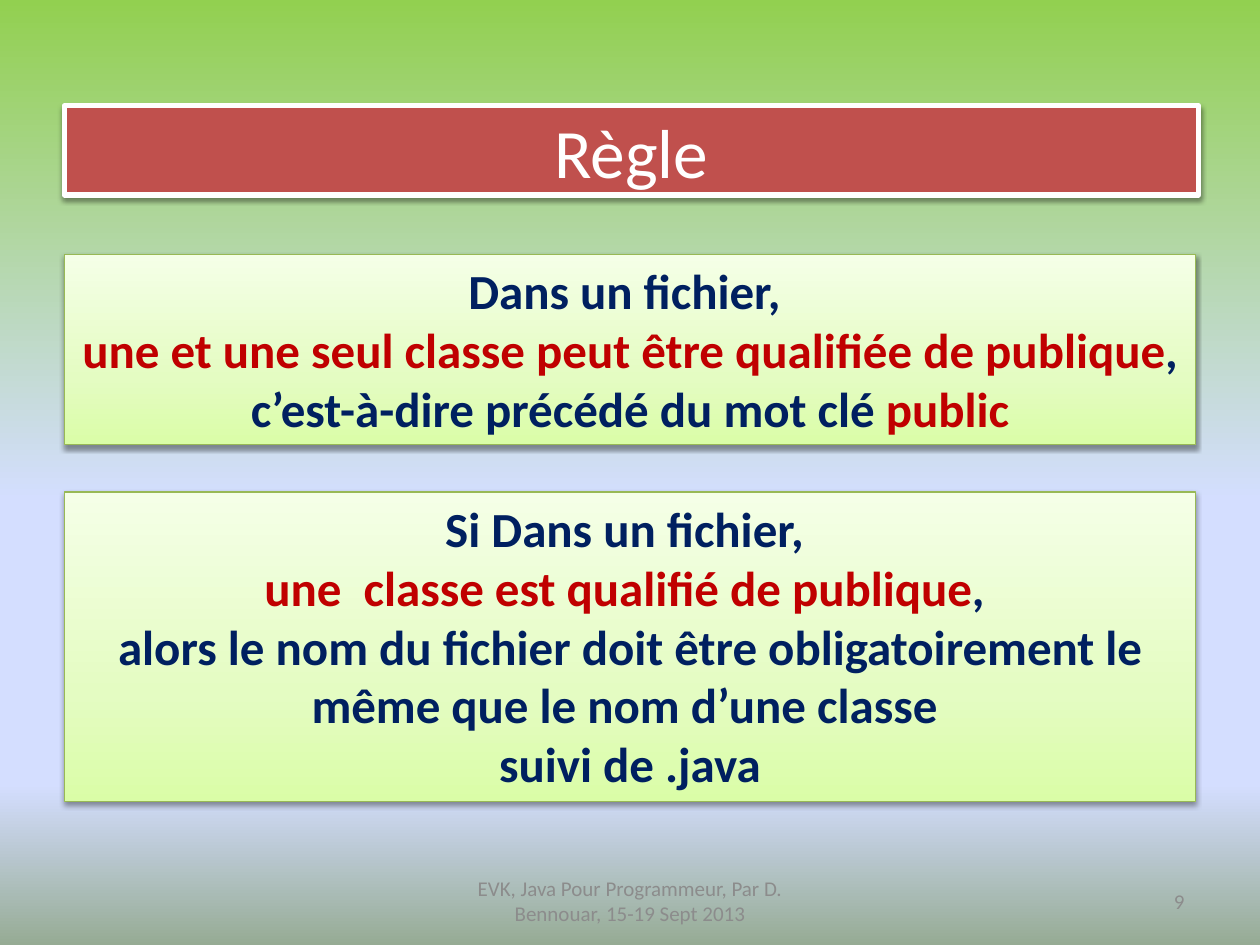
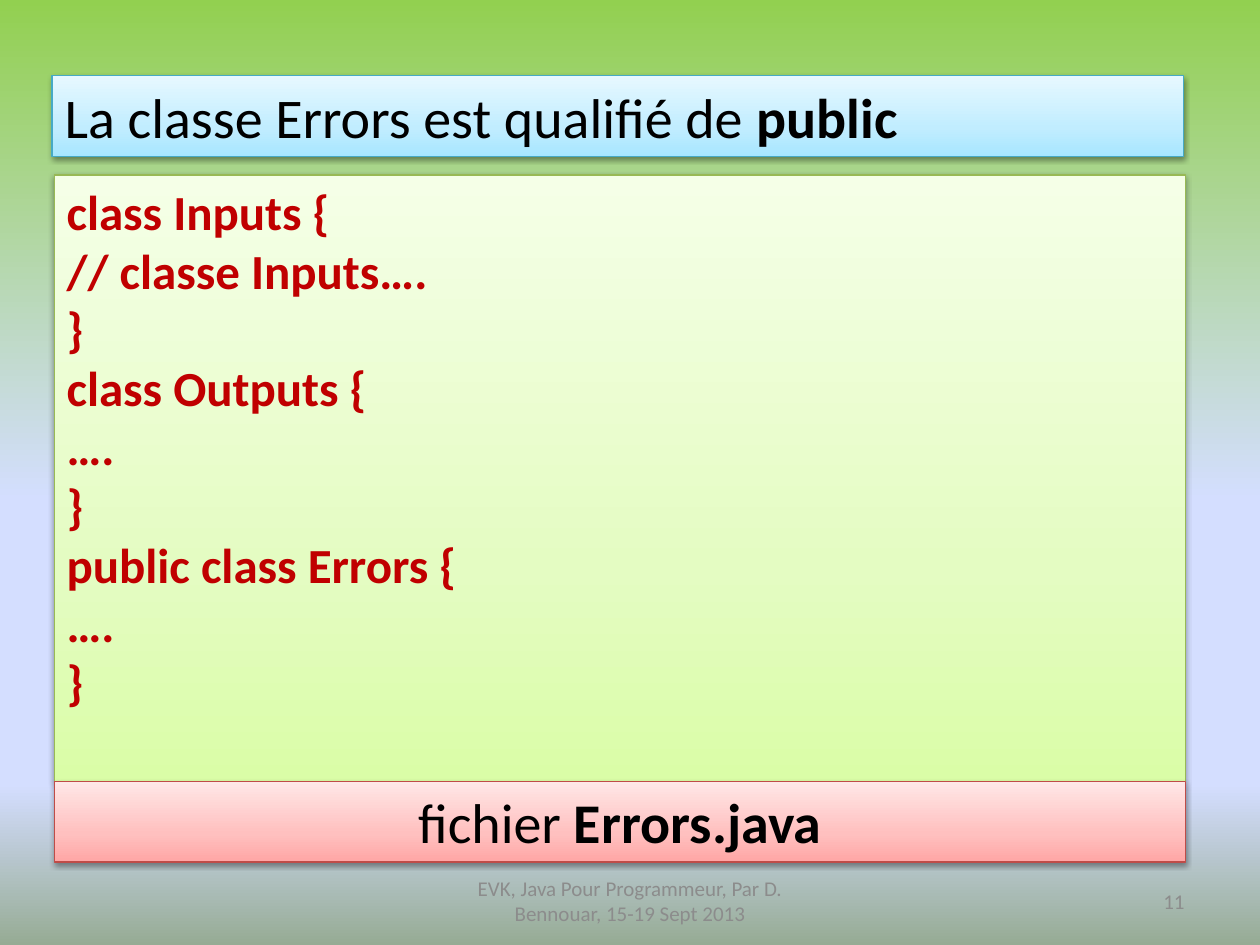
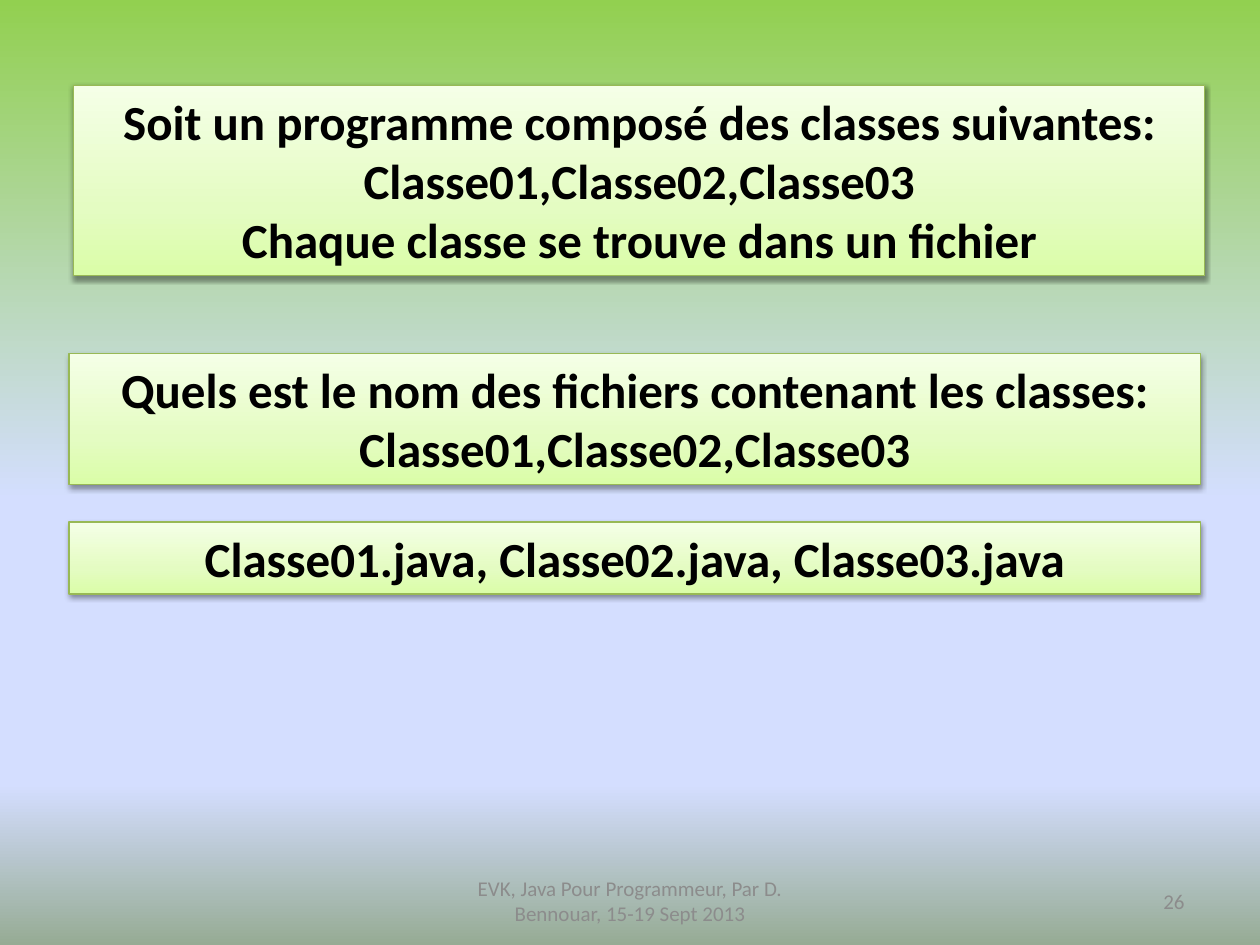
"""Build three slides on public classes and file names in Java."""
from dataclasses import dataclass

from lxml.etree import SubElement
from pptx import Presentation
from pptx.dml.color import RGBColor
from pptx.enum.text import MSO_ANCHOR, MSO_AUTO_SIZE, PP_ALIGN
from pptx.oxml.ns import qn
from pptx.util import Pt


@dataclass(frozen=True)
class Theme:
    """Colours, gradients and type sizes of the deck."""
    font: str = "Calibri"
    title_size: float = 39.6
    heading_size: float = 32
    body_size: float = 28
    footer_size: float = 12
    white: str = "FFFFFF"
    black: str = "000000"
    navy: str = "002060"
    red: str = "C00000"
    grey: str = "8C8C8C"
    brick: str = "C0504D"
    sky: tuple = ((0, "92D050"), (53, "D4DEFF"), (83, "D4DEFF"), (100, "96AB94"))
    green: tuple = ((0, "F5FFE7"), (65, "E4FCC2"), (100, "DAFDA7"))
    pink: tuple = ((0, "FFE7E7"), (65, "FFC0BF"), (100, "FFA6A5"))
    blue: tuple = ((0, "E7F8FF"), (65, "C1EDFF"), (100, "A7E6FF"))
    green_line: str = "98B955"
    pink_line: str = "BF4C48"
    blue_line: str = "46AAC5"


theme = Theme()


def paint(fill, element, stops):
    """Fill with a gradient that runs from top to bottom."""
    fill.gradient()
    fill.gradient_angle = 270
    stop_list = next(element.iter(qn("a:gsLst")))
    stop_list.clear()
    for percent, colour in stops:
        stop = SubElement(stop_list, qn("a:gs"), pos=str(percent * 1000))
        SubElement(stop, qn("a:srgbClr"), val=colour)


def write(box, text, *, place, size=theme.body_size, colour=theme.black, accent=None,
          bold=True, align=PP_ALIGN.CENTER, anchor=MSO_ANCHOR.TOP,
          stops=None, solid=None, line=None, line_width=0.75):
    """Place, dress and fill a box; bars in the text enclose accented spans."""
    box.left, box.top, box.width, box.height = map(Pt, place)
    frame = box.text_frame
    frame.word_wrap = True
    frame.auto_size = MSO_AUTO_SIZE.NONE
    frame.vertical_anchor = anchor
    for index, sentence in enumerate(text.split("\n")):
        paragraph = frame.add_paragraph() if index else frame.paragraphs[0]
        paragraph.alignment = align
        for number, part in enumerate(sentence.split("|")):
            if not part:
                continue
            accented = number % 2 == 1
            span = paragraph.add_run()
            span.text = part
            span.font.name = theme.font
            span.font.size = Pt(size)
            span.font.bold = bold or accented
            shade = accent if accented and accent else colour
            span.font.color.rgb = RGBColor.from_string(shade)
    if stops:
        paint(box.fill, box._element, stops)
    if solid:
        box.fill.solid()
        box.fill.fore_color.rgb = RGBColor.from_string(solid)
    if line:
        box.line.color.rgb = RGBColor.from_string(line)
        box.line.width = Pt(line_width)
        box.shadow.inherit = False
        effects = box._element.spPr.find(qn("a:effectLst"))
        shadow = SubElement(effects, qn("a:outerShdw"), blurRad=str(Pt(3.1)),
                            dist=str(Pt(1.6)), dir="5400000", rotWithShape="0")
        black = SubElement(shadow, qn("a:srgbClr"), val=theme.black)
        SubElement(black, qn("a:alpha"), val="38000")


deck = Presentation()
deck.slide_width, deck.slide_height = Pt(720), Pt(540)
master = deck.slide_master
paint(master.background.fill, master._element, theme.sky)
titled, blank = deck.slide_layouts[5], deck.slide_layouts[6]

panel_width = 646.5
panel = dict(stops=theme.green, line=theme.green_line)
heading = dict(size=theme.heading_size, bold=False)
footer = dict(size=theme.footer_size, colour=theme.grey, bold=False, anchor=MSO_ANCHOR.MIDDLE)

rule_page = deck.slides.add_slide(titled)
write(rule_page.shapes.title, "Règle", place=(36.75, 60.5, 648, 51), size=theme.title_size,
      colour=theme.white, bold=False, anchor=MSO_ANCHOR.MIDDLE,
      solid=theme.brick, line=theme.white, line_width=3)
rules = [
    (145.5, 108.75, "Dans un fichier, \n|une et une seul classe peut être qualifiée de publique|"
                    ", c’est-à-dire précédé du mot clé |public|"),
    (281.25, 177, "Si Dans un fichier, \n|une  classe est qualifié de publique|, \n"
                  "alors le nom du fichier doit être obligatoirement le même que le nom "
                  "d’une classe \nsuivi de .java"),
]
for top, height, text in rules:
    write(rule_page.shapes.add_textbox(0, 0, 0, 0), text, colour=theme.navy, accent=theme.red,
          place=(36.75, top, panel_width, height), **panel)

code_page = deck.slides.add_slide(titled)
write(code_page.shapes.title, "La classe Errors est qualifié de |public|",
      place=(29.75, 43.25, panel_width, 46), align=PP_ALIGN.LEFT,
      stops=theme.blue, line=theme.blue_line, **heading)
code = """class Inputs {
// classe Inputs….
}
class Outputs {
….
}
public class Errors {
….
}"""
write(code_page.shapes.add_textbox(0, 0, 0, 0), code, colour=theme.red, align=PP_ALIGN.LEFT,
      place=(31, 100, panel_width, 346.5), **panel)
write(code_page.shapes.add_textbox(0, 0, 0, 0), "fichier |Errors.java|",
      place=(31, 446.5, panel_width, 46), stops=theme.pink, line=theme.pink_line, **heading)

quiz_page = deck.slides.add_slide(blank)
classes = "Classe01,Classe02,Classe03"
quiz = [
    (42, 48.75, 108.75, "Soit un programme composé des classes suivantes:\n"
                        f"{classes}\nChaque classe se trouve dans un fichier"),
    (39.5, 202, 75, f"Quels est le nom des fichiers contenant les classes:\n{classes}"),
    (39.5, 298.25, 41.25, "Classe01.java, Classe02.java, Classe03.java"),
]
for left, top, height, text in quiz:
    write(quiz_page.shapes.add_textbox(0, 0, 0, 0), text,
          place=(left, top, panel_width, height), **panel)

for page, number in ((rule_page, 9), (code_page, 11), (quiz_page, 26)):
    write(page.shapes.add_textbox(0, 0, 0, 0),
          "EVK, Java Pour Programmeur, Par D. Bennouar, 15-19 Sept 2013",
          place=(246, 500.5, 228, 28.75), **footer)
    write(page.shapes.add_textbox(0, 0, 0, 0), str(number),
          place=(516, 500.5, 168, 28.75), align=PP_ALIGN.RIGHT, **footer)

deck.save("out.pptx")
